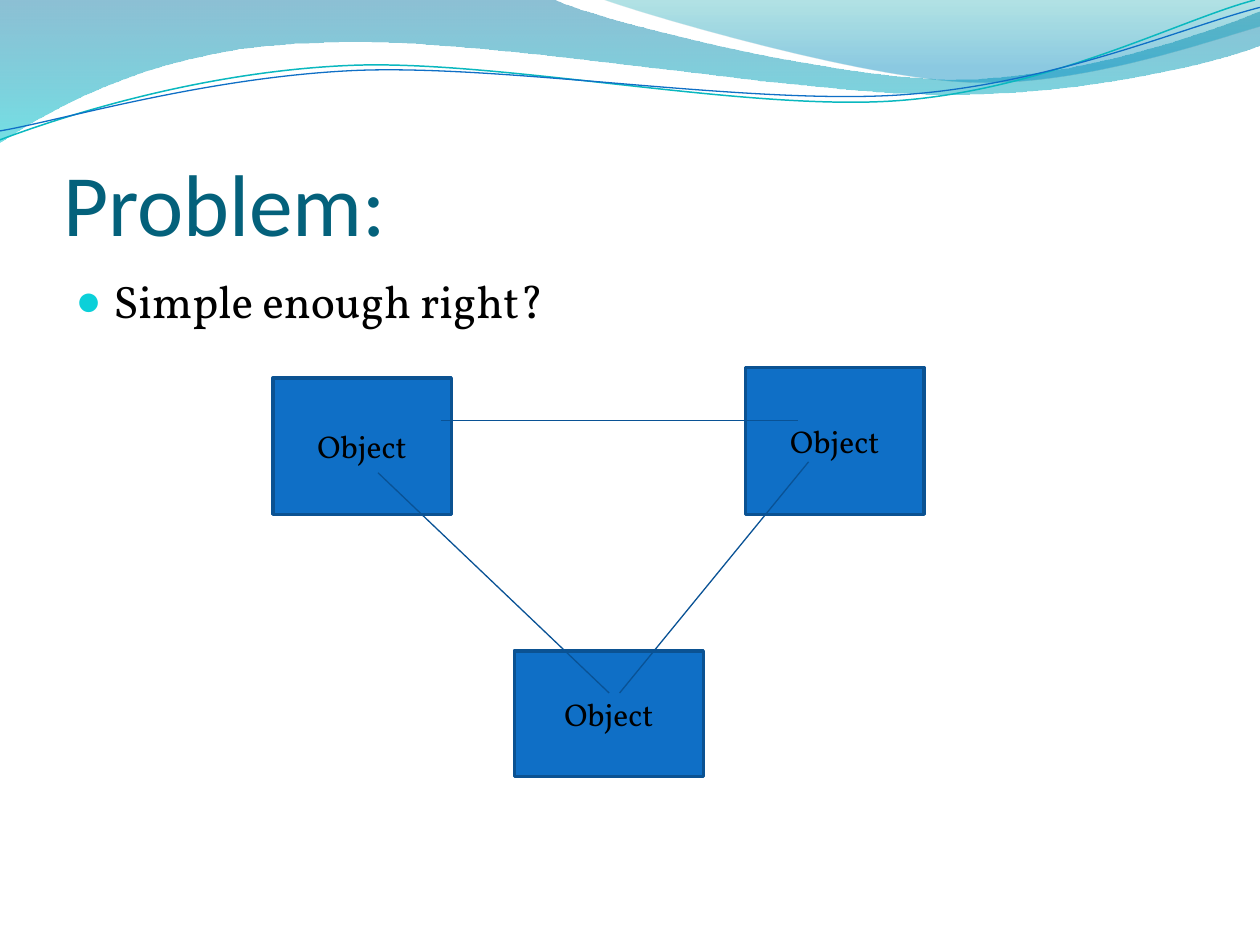
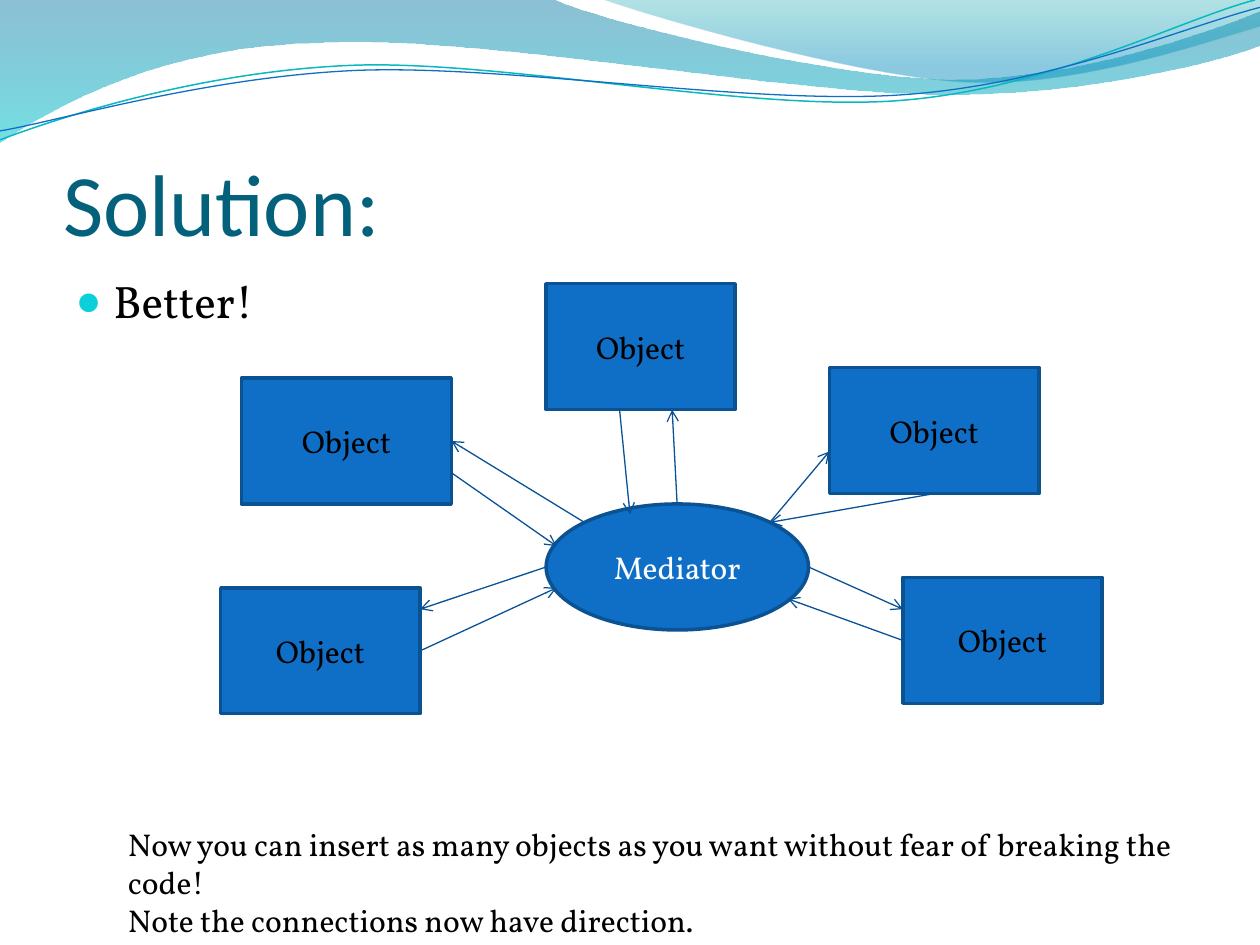
import pptx
import pptx.dml.color
import pptx.enum.shapes
import pptx.enum.text
import pptx.oxml
import pptx.oxml.ns
import pptx.util
from lxml import etree

Cm, Pt = pptx.util.Cm, pptx.util.Pt
SHAPES = pptx.enum.shapes.MSO_SHAPE
HOLDERS = pptx.enum.shapes.PP_PLACEHOLDER
ANCHOR = pptx.enum.text.MSO_ANCHOR
ALIGN = pptx.enum.text.PP_ALIGN
qn = pptx.oxml.ns.qn

COLORS = {
    "title": "04617B", "text": "000000", "light": "FFFFFF", "bullet": "0BD0D9",
    "box": "0F6FC6", "outline": "0B5292", "link": "095295",
    "teal_curve": "0AB8BF", "blue_curve": "0F6FC6",
    "deep_blue": "0074A1", "cyan": "00C6CF", "teal": "00A1A9", "sky": "008BBF",
}
TITLE_FONT = {"name": "Calibri", "size": Pt(50)}
BODY_FONT = {"name": "Vollkorn", "size": Pt(26)}
LABEL_FONT = {"name": "Vollkorn", "size": Pt(18)}
TITLE_FRAME = {"vertical_anchor": ANCHOR.BOTTOM, "margin_left": 0, "margin_top": Cm(0.13),
               "margin_right": 0, "margin_bottom": 0}
LABEL_FRAME = {"vertical_anchor": ANCHOR.MIDDLE, "word_wrap": True}

# All positions are in centimetres: left, top, width, height.
TITLE_AREA = (1.27, 1.95, 22.86, 3.17)
BODY_AREA = (1.27, 5.38, 22.86, 12.19)
NOTE_AREA = (2.33, 16.51, 22.2, 1.8)

# A two-number step is a straight segment, a six-number step a Bezier curve.
# Gradient stops are position, colour and opacity in percent.
WAVES = [
    {"start": (0, 0), "stops": [(0, "deep_blue", 45), (1, "cyan", 55)],
     "steps": [(11.18, 0), (12.09, 0.43, 16.87, 1.6, 19.25, 1.6),
               (21.67, 1.6, 24.33, 0.66, 25.4, 0.23), (25.4, 0.91),
               (24.97, 1.12, 22.1, 1.93, 18.95, 1.9),
               (15.8, 1.9, 9.7, 0.71, 6.53, 0.86),
               (3.28, 0.91, 1.17, 2.11, 0, 2.87)]},
    {"start": (12.17, 0), "stops": [(0, "teal", 30), (0.8, "sky", 45)],
     "steps": [(12.93, 0.28, 17.32, 1.57, 19.53, 1.65),
               (21.74, 1.75, 24.41, 0.81, 25.4, 0.53), (25.4, 0)]},
    {"start": (0, 2.82), "line": ("teal_curve", 0.85),
     "steps": [(1.22, 2.36, 4.01, 1.45, 7.04, 1.32),
               (10.03, 1.19, 15.06, 2.26, 18.11, 2.03),
               (21.16, 1.8, 23.83, 0.38, 25.3, 0)]},
    {"start": (0, 2.64), "line": ("blue_curve", 0.75),
     "steps": [(1.19, 2.44, 4.17, 1.55, 7.19, 1.42),
               (10.24, 1.3, 15.16, 2.13, 18.21, 1.91),
               (21.23, 1.7, 23.9, 0.53, 25.4, 0.15)]},
]

# Links run from the first point to the second.
SLIDES = [
    {"title": "Problem:", "body": "Simple enough right?", "arrows": False,
     "objects": [(5.5, 7.62, 3.6, 2.75), (15.03, 7.41, 3.6, 2.96),
                 (10.37, 13.12, 3.81, 2.54)],
     "links": [(7.62, 9.53, 12.28, 13.97), (16.3, 9.31, 12.49, 13.97),
               (8.89, 8.47, 16.09, 8.47)]},
    {"title": "Solution:", "body": "Better!", "arrows": True,
     "objects": [(4.87, 7.62, 4.23, 2.54), (11.01, 5.72, 3.81, 2.54),
                 (4.45, 11.85, 4.02, 2.54), (18.2, 11.64, 4.02, 2.54),
                 (16.72, 7.41, 4.23, 2.54)],
     "mediator": (11.01, 10.16, 5.29, 2.54),
     "links": [(9.1, 9.53, 11.22, 11.01), (12.49, 8.26, 12.7, 10.37),
               (8.47, 13.12, 11.22, 11.85), (18.84, 9.95, 15.52, 10.53),
               (18.2, 12.91, 15.88, 12.07), (11.78, 10.53, 9.1, 8.89),
               (11.01, 11.43, 8.47, 12.28), (13.65, 10.16, 13.55, 8.26),
               (15.52, 10.53, 16.72, 9.1), (16.3, 11.43, 18.2, 12.28)],
     "note": ["Now you can insert as many objects as you want without fear of "
              "breaking the code!",
              "Note the connections now have direction."]},
]


def color(name):
    """Return a named colour of the deck."""
    return pptx.dml.color.RGBColor.from_string(COLORS[name])


def lengths(values):
    """Turn centimetre values into a list of lengths."""
    return [Cm(value) for value in values]


def apply_format(target, values):
    """Set each attribute of a dict on an object."""
    for attribute, value in values.items():
        setattr(target, attribute, value)


def place(shape, area):
    """Move and size a shape."""
    apply_format(shape, dict(zip(("left", "top", "width", "height"), lengths(area))))


def write(paragraph, text, font, color_name, alignment=ALIGN.LEFT):
    """Write one formatted run into a paragraph."""
    paragraph.alignment = alignment
    run = paragraph.add_run()
    run.text = text
    apply_format(run.font, font)
    run.font.color.rgb = color(color_name)


def set_line(shape, color_name, width):
    """Give a shape or connector a solid line."""
    shape.line.color.rgb = color(color_name)
    shape.line.width = Pt(width)


def bend(shape, steps):
    """Turn the straight segments of Bezier steps into curves."""
    segments = list(shape.element.iter(qn("a:lnTo")))
    for segment, step in zip(segments, steps):
        if len(step) == 2:
            continue
        segment.tag = qn("a:cubicBezTo")
        for index, (x, y) in enumerate((step[:2], step[2:4])):
            point = etree.Element(qn("a:pt"), x=str(Cm(x) - shape.left),
                                  y=str(Cm(y) - shape.top))
            segment.insert(index, point)


def fill_gradient(shape, stops):
    """Fill a shape from top to bottom with translucent colours."""
    shape.fill.gradient()
    shape.fill.gradient_angle = 270
    for stop, (position, color_name, opacity) in zip(shape.fill.gradient_stops, stops):
        stop.position = position
        stop.color.rgb = color(color_name)
    for node, stop in zip(shape.element.spPr.iter(qn("a:srgbClr")), stops):
        etree.SubElement(node, qn("a:alpha"), val=str(stop[2] * 1000))


def add_wave(slide, wave):
    """Draw one wave or curve of the top band."""
    builder = slide.shapes.build_freeform(*lengths(wave["start"]), scale=1.0)
    builder.add_line_segments([lengths(step[-2:]) for step in wave["steps"]],
                              close="stops" in wave)
    shape = builder.convert_to_shape()
    bend(shape, wave["steps"])
    shape.shadow.inherit = False
    if "stops" in wave:
        fill_gradient(shape, wave["stops"])
        shape.line.fill.background()
    else:
        shape.fill.background()
        set_line(shape, *wave["line"])
    return shape


def move_to_master(presentation, shapes):
    """Put shapes behind everything on the slide master."""
    tree = presentation.slide_master.shapes.element
    for index, shape in enumerate(shapes):
        shape.element.nvSpPr.cNvPr.set("id", str(100 + index))
        tree.insert(2 + index, shape.element)


def prepare_layout(presentation):
    """Keep one layout, holding only a title and a body."""
    layout = presentation.slide_layouts[1]
    for other in list(presentation.slide_layouts):
        if other.name != layout.name:
            presentation.slide_layouts.remove(other)
    for owner in (layout, presentation.slide_master):
        for holder in list(owner.placeholders):
            if holder.placeholder_format.type in (
                    HOLDERS.DATE, HOLDERS.FOOTER, HOLDERS.SLIDE_NUMBER):
                holder.element.getparent().remove(holder.element)
        for holder, area in zip(owner.placeholders, (TITLE_AREA, BODY_AREA)):
            place(holder, area)
    return layout


def add_bullet(paragraph):
    """Give a paragraph a coloured round bullet and a hanging indent."""
    properties = paragraph._p.get_or_add_pPr()
    properties.set("marL", str(Cm(0.76)))
    properties.set("indent", str(-Cm(0.76)))
    bullet_color = etree.SubElement(properties, qn("a:buClr"))
    etree.SubElement(bullet_color, qn("a:srgbClr"), val=COLORS["bullet"])
    etree.SubElement(properties, qn("a:buSzPct"), val="95000")
    etree.SubElement(properties, qn("a:buChar"), char="\u25cf")


def add_node(slide, kind, area, label, color_name):
    """Draw a labelled box or ellipse."""
    shape = slide.shapes.add_shape(kind, *lengths(area))
    shape.shadow.inherit = False
    shape.fill.solid()
    shape.fill.fore_color.rgb = color("box")
    set_line(shape, "outline", 2)
    apply_format(shape.text_frame, LABEL_FRAME)
    write(shape.text_frame.paragraphs[0], label, LABEL_FONT, color_name, ALIGN.CENTER)


def add_link(slide, ends, arrow):
    """Draw a straight link, with an arrowhead at its end if asked."""
    connector = slide.shapes.add_connector(
        pptx.enum.shapes.MSO_CONNECTOR.STRAIGHT, *lengths(ends))
    set_line(connector, "link", 0.75)
    properties = connector.element.spPr
    if arrow:
        etree.SubElement(properties.find(qn("a:ln")), qn("a:tailEnd"), type="arrow")
    etree.SubElement(properties, qn("a:effectLst"))


def add_note(slide, lines):
    """Add the closing remark below the diagram."""
    frame = slide.shapes.add_textbox(*lengths(NOTE_AREA)).text_frame
    frame.word_wrap = True
    for index, line in enumerate(lines):
        paragraph = frame.add_paragraph() if index else frame.paragraphs[0]
        write(paragraph, line, LABEL_FONT, "text")


def add_slide(presentation, layout, content):
    """Build one slide from its content."""
    slide = presentation.slides.add_slide(layout)
    title, body = slide.placeholders
    apply_format(title.text_frame, TITLE_FRAME)
    write(title.text_frame.paragraphs[0], content["title"], TITLE_FONT, "title")
    write(body.text_frame.paragraphs[0], content["body"], BODY_FONT, "text")
    add_bullet(body.text_frame.paragraphs[0])
    for area in content["objects"]:
        add_node(slide, SHAPES.RECTANGLE, area, "Object", "text")
    if "mediator" in content:
        add_node(slide, SHAPES.OVAL, content["mediator"], "Mediator", "light")
    for ends in content["links"]:
        add_link(slide, ends, content["arrows"])
    if "note" in content:
        add_note(slide, content["note"])
    return slide


def main():
    """Build and save the presentation."""
    presentation = pptx.Presentation()
    presentation.slide_width, presentation.slide_height = Cm(25.4), Cm(19.05)
    layout = prepare_layout(presentation)
    slides = [add_slide(presentation, layout, content) for content in SLIDES]
    move_to_master(presentation, [add_wave(slides[0], wave) for wave in WAVES])
    presentation.save("out.pptx")


main()
